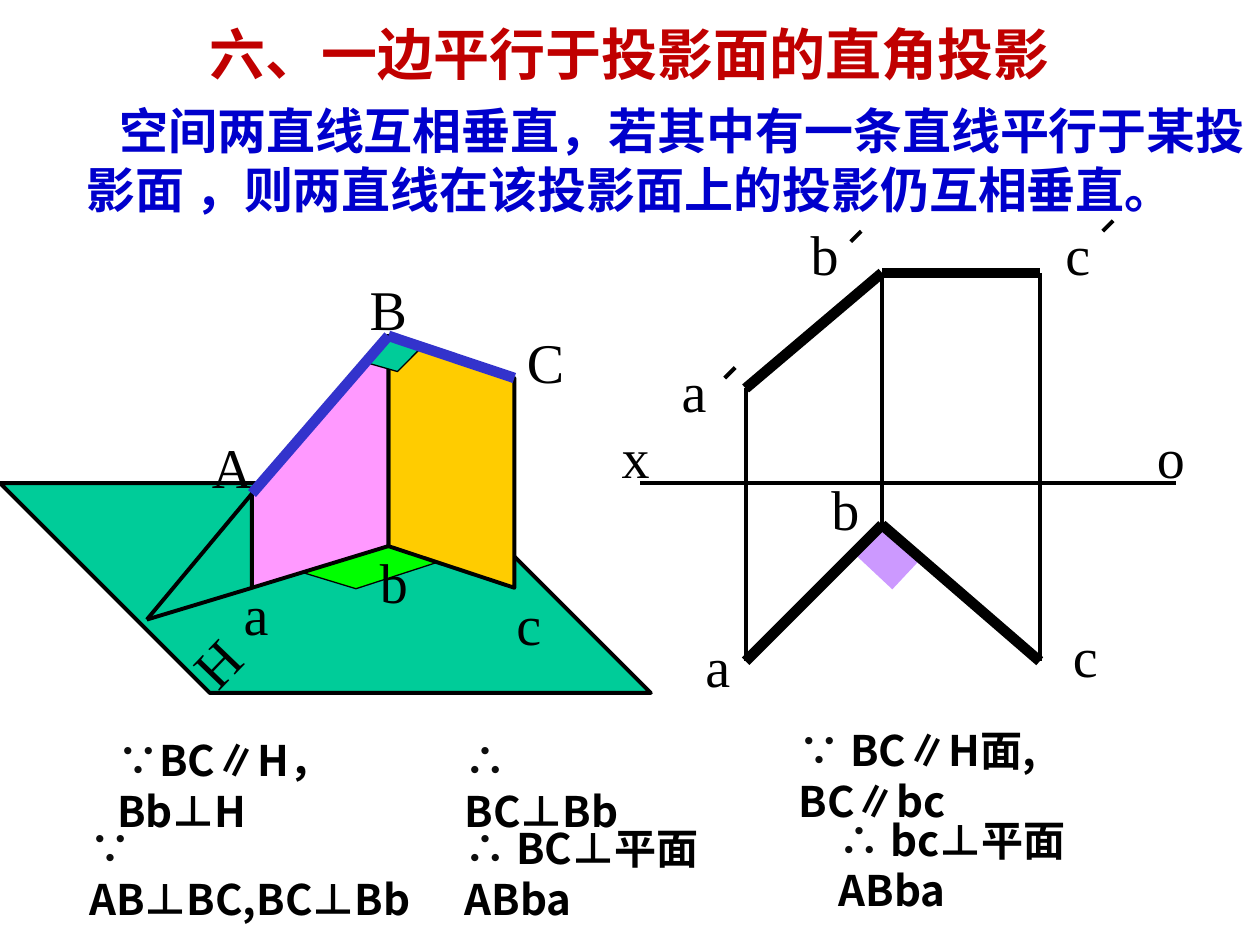
from dataclasses import dataclass

from lxml.etree import SubElement
from pptx import Presentation
from pptx.dml.color import RGBColor
from pptx.enum.shapes import MSO_CONNECTOR, MSO_SHAPE
from pptx.enum.text import MSO_ANCHOR, PP_ALIGN
from pptx.oxml.ns import qn
from pptx.util import Cm, Pt


@dataclass(frozen=True)
class Theme:
    black: str = "000000"
    sign: str = "0D0D0D"
    title: str = "C00000"
    rule: str = "0000CC"
    edge: str = "3333CC"
    plane: str = "00CC99"
    pink: str = "FF99FF"
    gold: str = "FFCC00"
    green: str = "00FF00"
    lilac: str = "CC99FF"
    han: str = "Noto Sans CJK SC"
    roman: str = "Times New Roman"
    large: int = 32
    body: int = 28
    small: int = 24
    thick: float = 6
    thin: float = 2.25
    hair: float = 0.75


T = Theme()


def write(para, text, font=T.han, size=T.small, color=T.black, bold=True):
    """Add one formatted run to a paragraph."""
    run = para.add_run()
    run.text = text
    face = run.font
    face.name, face.size, face.bold = font, Pt(size), bold
    face.color.rgb = RGBColor.from_string(color)
    SubElement(face._element, qn("a:ea")).set("typeface", font)


def add_box(slide, x, y, w, h, top=0.13):
    """Add a wrapping text box and return it with its paragraph."""
    box = slide.shapes.add_textbox(Cm(x), Cm(y), Cm(w), Cm(h))
    frame = box.text_frame
    frame.word_wrap = True
    frame.margin_top = Cm(top)
    return box, frame.paragraphs[0]


def add_label(slide, text, x, y, turn=0):
    box, para = add_box(slide, x, y, 1.69, 1.63, top=0.25)
    box.rotation = turn
    write(para, text, font=T.roman, size=T.large, bold=False)


def add_proof(slide, sign, text, x, y, w):
    para = add_box(slide, x, y, w, 2.29)[1]
    para.line_spacing = Pt(1.2 * T.small)
    write(para, sign, color=T.sign)
    write(para, text)


def add_line(slide, start, end, width=T.thin, color=T.black):
    line = slide.shapes.add_connector(
        MSO_CONNECTOR.STRAIGHT, *(Cm(v) for v in start + end))
    line.line.width = Pt(width)
    line.line.color.rgb = RGBColor.from_string(color)
    SubElement(line._element.spPr, qn("a:effectLst"))


def paint(shape, fill, width):
    shape.shadow.inherit = False
    shape.fill.solid()
    shape.fill.fore_color.rgb = RGBColor.from_string(fill)
    if width:
        shape.line.width = Pt(width)
        shape.line.color.rgb = RGBColor.from_string(T.black)
    else:
        shape.line.fill.background()


def add_face(slide, points, fill):
    dots = [(Cm(x), Cm(y)) for x, y in points]
    form = slide.shapes.build_freeform(*dots[0])
    form.add_line_segments(dots[1:], close=True)
    paint(form.convert_to_shape(), fill, T.thin)


def add_mark(slide, kind, x, y, w, h, turn, fill, width=0, slant=None):
    """Add a right-angle mark."""
    mark = slide.shapes.add_shape(kind, Cm(x), Cm(y), Cm(w), Cm(h))
    if slant is not None:
        mark.adjustments[0] = slant
    mark.rotation = turn
    paint(mark, fill, width)


def add_title(slide):
    title = slide.shapes.title
    title.left, title.top = Cm(1.9), Cm(0)
    title.width, title.height = Cm(21.59), Cm(2.13)
    title.text_frame.vertical_anchor = MSO_ANCHOR.MIDDLE
    para = title.text_frame.paragraphs[0]
    para.alignment = PP_ALIGN.CENTER
    write(para, "六、一边平行于投影面的直角投影", size=T.large, color=T.title)


def add_rule(slide):
    para = add_box(slide, 0, 1.9, 25.4, 2.64)[1]
    para.alignment = PP_ALIGN.CENTER
    para.line_spacing = Pt(1.2 * T.body)
    para._p.get_or_add_pPr().set("indent", str(Cm(2.1)))
    write(para, "空间两直线互相垂直，若其中有一条直线平行于某投影面 ，"
          "则两直线在该投影面上的投影仍互相垂直。", size=T.body, color=T.rule)


def draw_space(slide):
    """Draw the view in space on plane H."""
    A, B, C = (5.08, 9.95), (7.83, 6.77), (10.37, 7.62)
    a, b, c = (5.08, 11.85), (7.83, 11.01), (10.37, 11.85)
    foot = (2.96, 12.49)
    slant = MSO_SHAPE.PARALLELOGRAM

    # Plane, ground mark and upright faces
    add_face(slide, [(0, 9.74), (4.23, 13.97), (13.12, 13.97), (8.89, 9.74)],
             T.plane)
    add_label(slide, "H", 3.56, 12.32, turn=313.9)
    add_label(slide, "A", 4.02, 8.47)
    add_mark(slide, slant, 6.12, 10.87, 2.74, 1.07, 16.9, T.green, T.hair, 1.435)
    add_face(slide, [C, c, b, B], T.gold)
    add_face(slide, [B, b, a, A], T.pink)
    add_line(slide, A, foot)
    add_line(slide, foot, a)

    # Right angle ABC
    add_mark(slide, slant, 7.37, 6.81, 1.09, 0.64, 15.9, T.plane, T.hair, 0.549)
    for end in (A, C):
        add_line(slide, B, end, T.thick, T.edge)

    for text, x, y in [("B", 7.2, 5.29), ("C", 10.37, 6.35), ("a", 4.66, 11.43),
                       ("b", 7.41, 10.79), ("c", 10.16, 11.64)]:
        add_label(slide, text, x, y)


def draw_views(slide):
    """Draw the front and top views on axis xo."""
    front = a2, b2, c2 = (15.03, 7.83), (17.78, 5.5), (20.96, 5.5)
    plan = a, b, c = (15.03, 13.33), (17.78, 10.58), (20.96, 13.33)
    add_mark(slide, MSO_SHAPE.RECTANGLE, 17.35, 10.79, 1.07, 0.84, 43.1, T.lilac)
    for start, end in [(b2, c2), (b2, a2), (b, c), (b, a)]:
        add_line(slide, start, end, T.thick)
    add_line(slide, (12.91, 9.74), (23.71, 9.74))
    for high, low in zip(front, plan):
        add_line(slide, high, low)

    # Letters, then the prime strokes
    for text, x, y in [("x", 12.28, 8.26), ("o", 23.07, 8.26),
                       ("a", 13.97, 12.49), ("b", 16.51, 9.31),
                       ("c", 21.38, 12.28), ("a", 13.49, 6.93),
                       ("b", 16.09, 4.17), ("c", 21.23, 4.17)]:
        add_label(slide, text, x, y)
    for x, y in [(14.82, 7.41), (17.36, 4.66), (22.44, 4.45)]:
        add_line(slide, (x, y), (x - 0.21, y + 0.21))


def main():
    deck = Presentation()
    deck.slide_width, deck.slide_height = Cm(25.4), Cm(19.05)
    slide = deck.slides.add_slide(deck.slide_layouts[5])
    add_title(slide)
    add_rule(slide)
    draw_space(slide)
    draw_views(slide)

    # Proof steps
    for step in [("∵", "BC∥H，Bb⊥H", 2.11, 14.68, 6.68),
                 ("∴", " BC⊥Bb", 9.12, 14.68, 4.42),
                 ("∵", " AB⊥BC,BC⊥Bb", 1.55, 16.46, 7.47),
                 ("∴", " BC⊥平面ABba", 9.12, 16.46, 6.9),
                 ("∵", " BC∥H面, BC∥bc", 15.85, 14.48, 7.8),
                 ("∴", " bc⊥平面ABba", 16.66, 16.28, 6.9)]:
        add_proof(slide, *step)
    deck.save("out.pptx")


if __name__ == "__main__":
    main()
